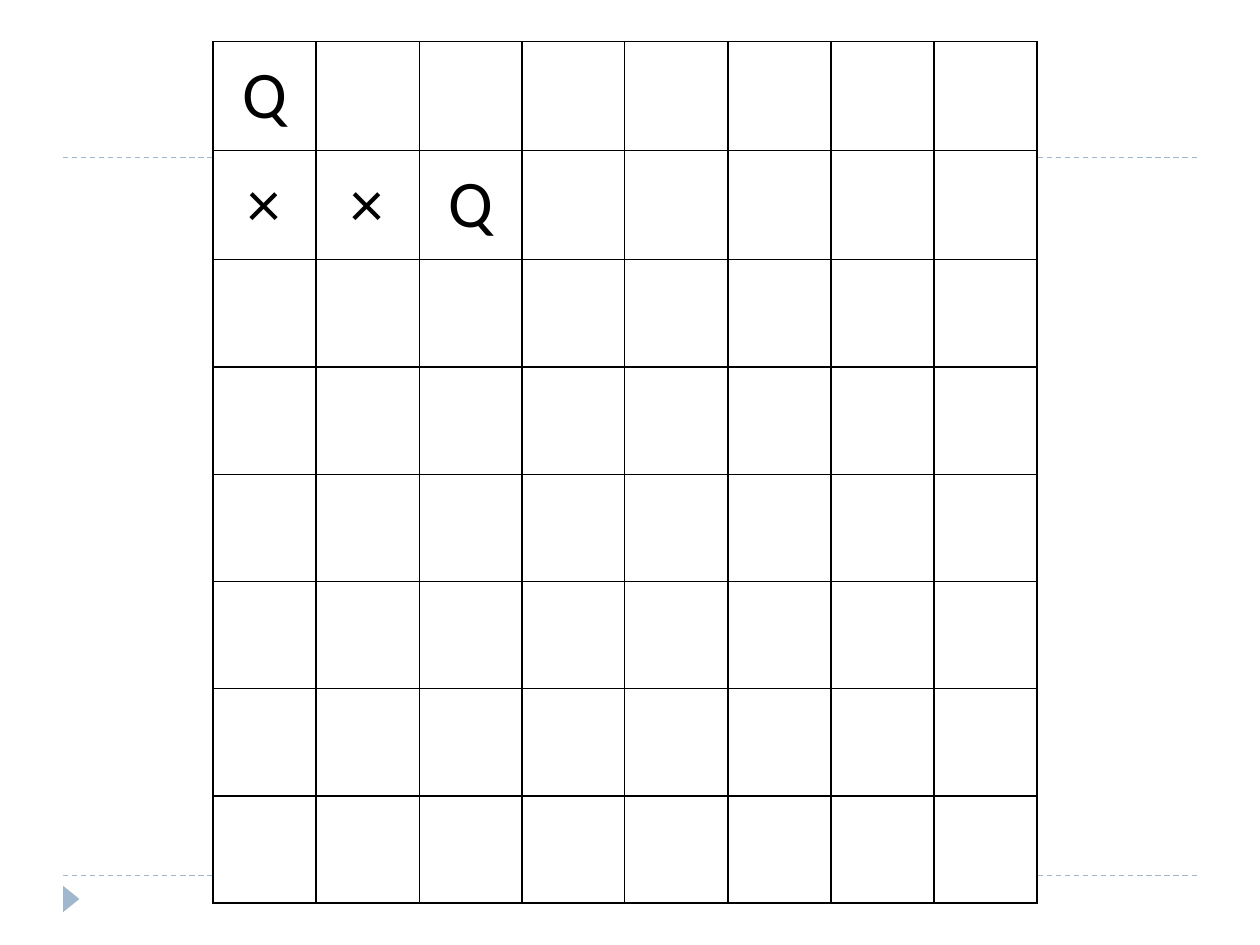
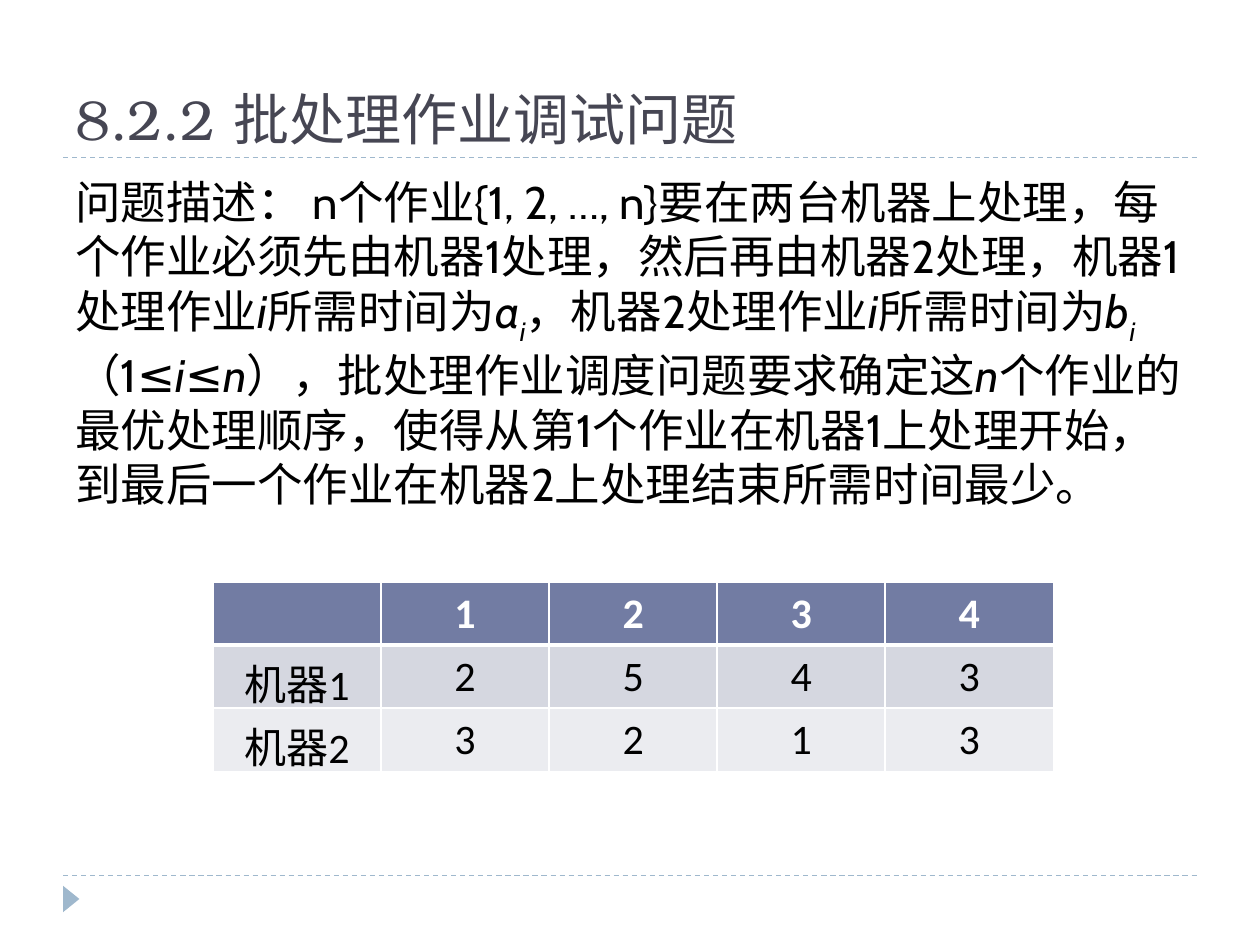
import pptx
import pptx.util
import pptx.dml.color
import pptx.enum.dml
import pptx.enum.shapes
import pptx.enum.text
import pptx.oxml
import pptx.oxml.ns
from lxml import etree

Inches, Pt = pptx.util.Inches, pptx.util.Pt
Anchor, Align = pptx.enum.text.MSO_ANCHOR, pptx.enum.text.PP_ALIGN
qn = pptx.oxml.ns.qn

HUES = {
    "ink": "000000",
    "paper": "FFFFFF",
    "title": "464653",
    "accent": "9FB8CD",
    "head": "727CA3",
    "odd": "D5D7E0",
    "even": "EBECF0",
}
FONTS = {
    "title": dict(name="TeX Gyre Bonum", size=Pt(32)),
    "body": dict(name="Cabin", size=Pt(26)),
    "board": dict(name="Calibri", size=Pt(38)),
    "grid": dict(name="Calibri", size=Pt(24)),
}
MARKS = {(0, 0): "Q", (1, 0): "×", (1, 1): "×", (1, 2): "Q"}
JOBS = [
    ["", "1", "2", "3", "4"],
    ["机器1", "2", "5", "4", "3"],
    ["机器2", "3", "2", "1", "3"],
]
TASK = [
    ("问题描述：", ""),
    (" ", "gap"),
    ("n个作业{1, 2, …, n}要在两台机器上处理，每个作业必须先由机器1处理，"
     "然后再由机器2处理，机器1处理作业", ""),
    ("i", "var"), ("所需时间为", ""), ("a", "var"), ("i", "sub"),
    ("，机器2处理作业", ""), ("i", "var"), ("所需时间为", ""),
    ("b", "var"), ("i", "sub"), ("（1≤", ""), ("i", "var"), ("≤", ""),
    ("n", "var"), ("），批处理作业调度问题要求确定这", ""), ("n", "var"),
    ("个作业的最优处理顺序，使得从第1个作业在机器1上处理开始，"
     "到最后一个作业在机器2上处理结束所需时间最少。", ""),
]
STYLES = {
    "": {},
    "gap": dict(size=Pt(24), bold=True, italic=True),
    "var": dict(italic=True),
    "sub": dict(italic=True),
}


def rgb(hue):
    return pptx.dml.color.RGBColor.from_string(HUES[hue])


def apply(item, values):
    for key, value in values.items():
        setattr(item, key, value)


def add_run(para, text, kind, hue, **extra):
    run = para.add_run()
    run.text = text
    apply(run.font, {**FONTS[kind], **extra})
    run.font.color.rgb = rgb(hue)
    return run


def add_box(slide, box, anchor):
    """Add a wrapping text box and return its first paragraph."""
    frame = slide.shapes.add_textbox(*map(Inches, box)).text_frame
    apply(frame, dict(word_wrap=True, vertical_anchor=anchor))
    return frame.paragraphs[0]


def add_rule(slide, left, top, width):
    line = slide.shapes.add_connector(
        pptx.enum.shapes.MSO_CONNECTOR.STRAIGHT,
        *map(Inches, (left, top, left + width, top)))
    apply(line.line, dict(width=Pt(0.75),
                          dash_style=pptx.enum.dml.MSO_LINE.DASH))
    line.line.color.rgb = rgb("accent")
    etree.SubElement(line._element.spPr, qn("a:effectLst"))


def add_base(deck):
    """Add a slide with the two dashed rules and the corner marker."""
    slide = deck.slides.add_slide(deck.slide_layouts[6])
    for top in (6.95, 1.25):
        add_rule(slide, 0.5, top, 9)
    mark = slide.shapes.add_shape(
        pptx.enum.shapes.MSO_SHAPE.ISOSCELES_TRIANGLE,
        *map(Inches, (0.46, 7.07, 0.21, 0.13)))
    mark.rotation = 90
    mark.shadow.inherit = False
    mark.fill.solid()
    mark.fill.fore_color.rgb = rgb("accent")
    mark.line.fill.background()
    return slide


def add_edge(cell, side, hue, width):
    props = cell._tc.get_or_add_tcPr()
    edge = etree.SubElement(props, qn("a:ln" + side), w=str(Pt(width)))
    fill = etree.SubElement(edge, qn("a:solidFill"))
    etree.SubElement(fill, qn("a:srgbClr"), val=HUES[hue])


def add_grid(slide, box, rows, cols):
    table = slide.shapes.add_table(rows, cols, *map(Inches, box)).table
    for col in table.columns:
        col.width = Inches(box[2] / cols)
    for row in table.rows:
        row.height = Inches(box[3] / rows)
    return table


def set_cell(cell, text, kind, ink, fill, line, widths, **extra):
    """Style one cell; widths maps each side to a line width."""
    for side, width in widths.items():
        add_edge(cell, side, line, width)
    cell.fill.solid()
    cell.fill.fore_color.rgb = rgb(fill)
    cell.vertical_anchor = Anchor.MIDDLE
    if text:
        para = cell.text_frame.paragraphs[0]
        para.alignment = Align.CENTER
        add_run(para, text, kind, ink, **extra)


def add_board(slide, box, size=8):
    """Add the queens board; every second inner line is thin."""
    table = add_grid(slide, box, size, size)
    pads = dict(margin_left=Inches(0.21), margin_right=Inches(0.21),
                margin_top=Inches(0.11), margin_bottom=Inches(0.11))
    across = [0.5 if n in (2, 4) else 1 for n in range(size + 1)]
    down = [0.5 if n in (2, 4) else 1 for n in range(size + 1)]
    for r in range(size):
        for c in range(size):
            cell = table.cell(r, c)
            text = MARKS.get((r, c), "")
            if text:
                apply(cell, pads)
            widths = dict(L=down[c], R=down[c + 1],
                          T=across[r], B=across[r + 1])
            set_cell(cell, text, "board", "ink", "paper", "ink", widths)


def add_times(slide, box):
    """Add the table of job times for each machine."""
    table = add_grid(slide, box, len(JOBS), len(JOBS[0]))
    for r, row in enumerate(JOBS):
        top = r == 0
        fill = ("head", "odd", "even")[r]
        widths = dict(L=1, R=1, T=3 if r == 1 else 1, B=3 if top else 1)
        for c, text in enumerate(row):
            set_cell(table.cell(r, c), text, "grid",
                     "paper" if top else "ink", fill, "paper", widths,
                     bold=top)


def add_task(slide, box):
    """Add the problem statement with its variables and subscripts."""
    para = add_box(slide, box, Anchor.TOP)
    for text, style in TASK:
        run = add_run(para, text, "body", "ink", **STYLES[style])
        if style == "sub":
            run._r.get_or_add_rPr().set("baseline", "-30000")


def queens(deck):
    add_board(add_base(deck), (1.69, 0.33, 6.54, 6.81))


def batch(deck):
    slide = add_base(deck)
    para = add_box(slide, (0.5, 0.17, 9, 1.08), Anchor.BOTTOM)
    add_run(para, "8.2.2 批处理作业调试问题", "title", "title")
    add_task(slide, (0.5, 1.33, 9, 5.4))
    add_times(slide, (1.69, 4.62, 6.67, 1.5))


def main():
    deck = pptx.Presentation()
    apply(deck, dict(slide_width=Inches(10), slide_height=Inches(7.5)))
    queens(deck)
    batch(deck)
    deck.save("out.pptx")


if __name__ == "__main__":
    main()
